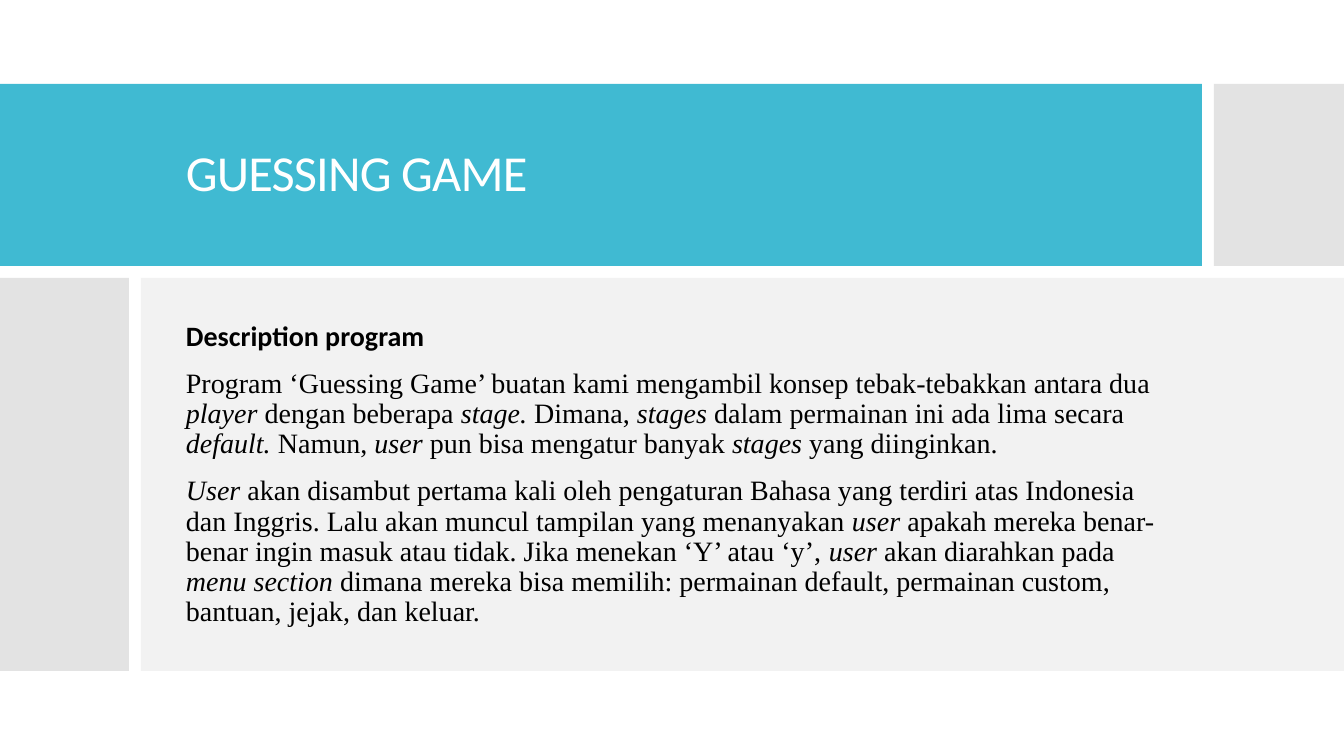
from lxml import etree
from pptx import Presentation
from pptx import util as u
from pptx.dml.color import RGBColor
from pptx.enum import shapes, text
from pptx.oxml.ns import qn

SIZE = (1344, 756)
TITLE = "GUESSING GAME"
HEAD = "Description program"
PARAS = [
    "Program ‘Guessing Game’ buatan kami mengambil konsep tebak-tebakkan antara dua "
    "*player *dengan beberapa *stage. *Dimana, *stages *dalam permainan ini ada lima secara "
    "*default. *Namun, *user *pun bisa mengatur banyak *stages *yang diinginkan.",
    "*User *akan disambut pertama kali oleh pengaturan Bahasa yang terdiri atas Indonesia "
    "dan Inggris. Lalu akan muncul tampilan yang menanyakan *user *apakah mereka "
    "benar-benar ingin masuk atau tidak. Jika menekan ‘Y’ atau ‘y’, *user *akan diarahkan "
    "pada *menu section *dimana mereka bisa memilih: permainan default, permainan custom, "
    "bantuan, jejak, dan keluar.",
]
THEME = {
    "teal": "40BAD2", "gray": "C8C8C8", "pale": "F2F2F2",
    "white": "FFFFFF", "black": "000000",
    "sans": "Calibri", "serif": "Times New Roman",
    "title": 36, "body": 20, "lead": 0.9, "space": 12,
}
TOP, BAND, GAP, PANEL = 84, 182, 12, 393
SIDE, BANNER = 129, 1202
LEFT, WIDE = 176, 990
LOW = TOP + BAND + GAP
BLOCKS = [
    (0, TOP, BANNER, BAND, "teal", 100),
    (BANNER + GAP, TOP, SIZE[0] - BANNER - GAP, BAND, "gray", 50),
    (0, LOW, SIDE, PANEL, "gray", 50),
    (SIDE + GAP, LOW, SIZE[0] - SIDE - GAP, PANEL, "pale", 100),
]


def px(n):
    return u.Emu(round(n * 914400 / 100.8))


def block(slide, x, y, w, h, tone, alpha):
    box = slide.shapes.add_shape(shapes.MSO_SHAPE.RECTANGLE, *map(px, (x, y, w, h)))
    box.shadow.inherit = False
    box.line.fill.background()
    box.fill.solid()
    box.fill.fore_color.rgb = RGBColor.from_string(THEME[tone])
    if alpha < 100:
        color = next(box._element.spPr.iter(qn("a:srgbClr")))
        etree.SubElement(color, qn("a:alpha")).set("val", str(alpha * 1000))


def frame(slide, y, h):
    area = slide.shapes.add_textbox(*map(px, (LEFT, y, WIDE, h))).text_frame
    area.word_wrap = True
    area.vertical_anchor = text.MSO_ANCHOR.MIDDLE
    return area


def write(para, words, tone, **form):
    run = para.add_run()
    run.text = words
    run.font.color.rgb = RGBColor.from_string(THEME[tone])
    for key, val in form.items():
        setattr(run.font, key, val)
    return run


def main():
    deck = Presentation()
    deck.slide_width, deck.slide_height = map(px, SIZE)
    slide = deck.slides.add_slide(deck.slide_layouts[6])
    for item in BLOCKS:
        block(slide, *item)

    para = frame(slide, 120, 110).paragraphs[0]
    para.line_spacing = THEME["lead"]
    run = write(para, TITLE, "white", name=THEME["sans"], size=u.Pt(THEME["title"]))
    run._r.get_or_add_rPr().set("spc", "-60")

    body = frame(slide, LOW + 1, PANEL - 1)
    size = u.Pt(THEME["body"])
    write(body.paragraphs[0], HEAD, "black", name=THEME["sans"], size=size, bold=True)
    for words in PARAS:
        para = body.add_paragraph()
        for i, part in enumerate(words.split("*")):
            if part:
                write(para, part, "black", name=THEME["serif"], size=size, italic=i % 2 == 1)
    for para in body.paragraphs:
        para.line_spacing = THEME["lead"]
        para.space_before = u.Pt(THEME["space"])

    deck.save("out.pptx")


if __name__ == "__main__":
    main()
